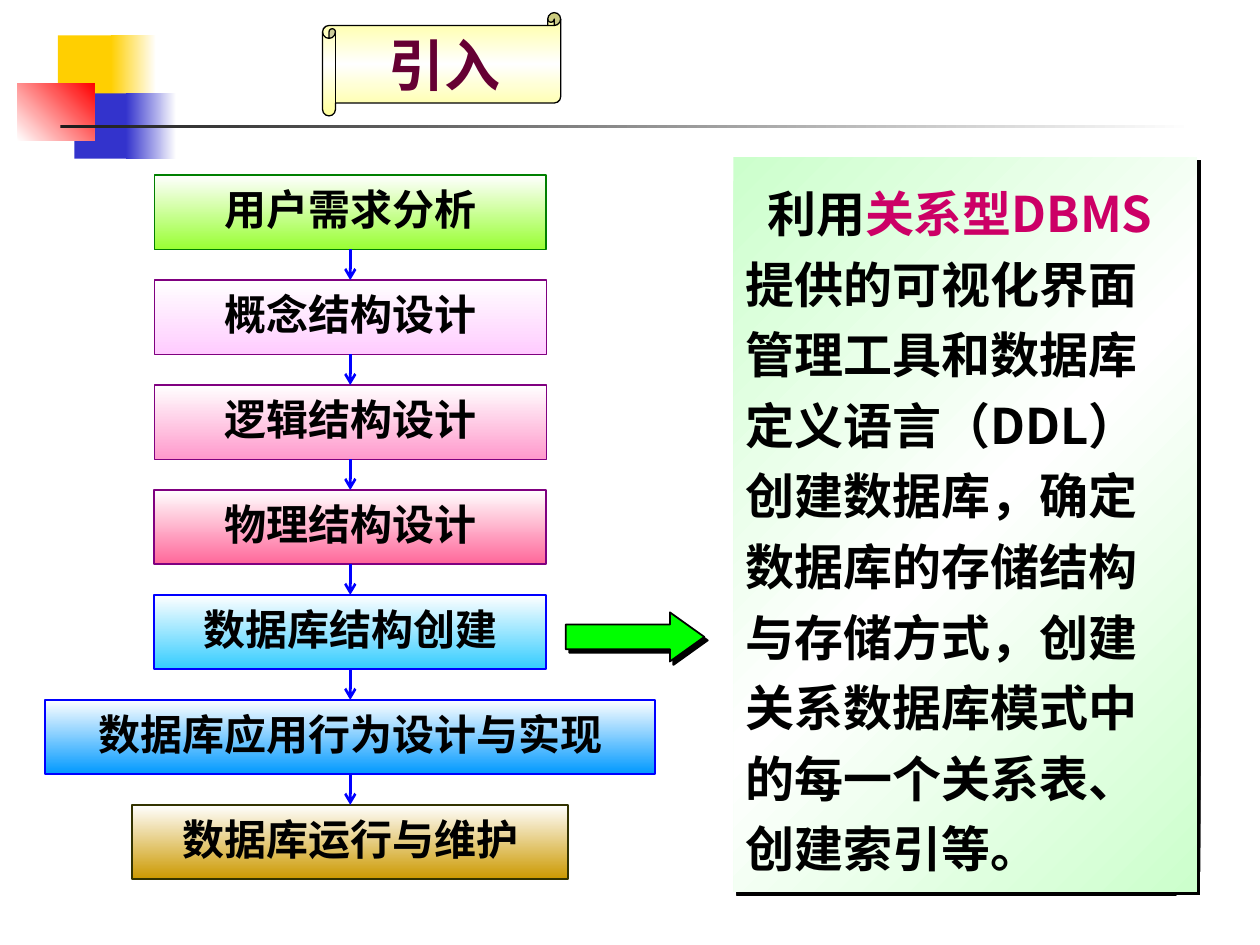
"""Build the slide showing the database design steps and the structure creation note."""
from dataclasses import dataclass
from typing import NamedTuple, Optional

from lxml import etree
from pptx import Presentation, util as u
from pptx.dml import color
from pptx.enum import shapes, text
from pptx.oxml import ns


@dataclass(frozen=True)
class Theme:
    latin: str = "Arial"
    body: str = "Noto Sans CJK SC"
    title_size: int = 32
    step_size: int = 24
    note_size: int = 28
    black: str = "000000"
    white: str = "FFFFFF"
    title: str = "660033"
    accent: str = "CC0066"
    arrow: str = "0000FF"
    pointer: str = "00FF00"
    yellow: str = "FFCF01"
    indigo: str = "3333CC"
    red: str = "FF0000"
    rule: str = "1C1C1C"
    scroll: str = "FFFF99"
    note: str = "CCFFCC"


class Area(NamedTuple):
    left: float
    top: float
    width: float
    height: float


class Fill(NamedTuple):
    colors: tuple
    angle: int = 0


class Line(NamedTuple):
    color: str
    width: float


class Piece(NamedTuple):
    words: str
    color: str


class Step(NamedTuple):
    label: str
    width: float
    color: str
    line: Line


THEME = Theme()
COLUMNS, ROWS = 100, 75
WIDTH, HEIGHT = u.Inches(10), u.Inches(7.5)
KIND = shapes.MSO_SHAPE
CENTER, FIRST_TOP, PITCH, STEP_HEIGHT = 27.8, 13.9, 8.33, 5.9

DECORATIONS = (
    (Area(4.6, 2.8, 4.8, 5.2), Fill((THEME.yellow,))),
    (Area(8.8, 2.8, 3.6, 5.2), Fill((THEME.yellow, THEME.white))),
    (Area(5.9, 7.4, 4.6, 5.2), Fill((THEME.indigo,))),
    (Area(10, 7.4, 4, 5.2), Fill((THEME.indigo, THEME.white))),
    (Area(1.4, 6.6, 6.1, 4.6), Fill((THEME.white, THEME.red), 315)),
    (Area(4.8, 9.9, 90, 0.3), Fill((THEME.rule, THEME.white))),
)

STEPS = (
    Step("用户需求分析", 31.1, "99FF33", Line("008000", 1)),
    Step("概念结构设计", 31.1, "FFCCFF", Line("800080", 0.75)),
    Step("逻辑结构设计", 31.1, "FF99CC", Line("800080", 0.75)),
    Step("物理结构设计", 31.1, "FF6699", Line("800080", 1.25)),
    Step("数据库结构创建", 31.1, "33CCFF", Line("0000FF", 1.25)),
    Step("数据库应用行为设计与实现", 48.4, "0099FF", Line("0000FF", 1.25)),
    Step("数据库运行与维护", 34.6, "CC9900", Line("333300", 1.25)),
)

NOTE = (
    Piece("利用", THEME.black),
    Piece("关系型DBMS", THEME.accent),
    Piece("提供的可视化界面管理工具和数据库定义语言（DDL）创建数据库，确定数据库的存储结构"
          "与存储方式，创建关系数据库模式中的每一个关系表、创建索引等。", THEME.black),
)


def across(columns: float) -> int:
    return round(WIDTH * columns / COLUMNS)


def down(rows: float) -> int:
    return round(HEIGHT * rows / ROWS)


def rgb(value: str) -> color.RGBColor:
    return color.RGBColor.from_string(value)


def child(parent, tag: str, **attributes):
    return etree.SubElement(parent, ns.qn(tag), attributes)


def apply_fill(shape, fill: Fill) -> None:
    if len(fill.colors) == 1:
        shape.fill.solid()
        shape.fill.fore_color.rgb = rgb(fill.colors[0])
        return
    shape.fill.gradient()
    shape.fill.gradient_angle = -fill.angle % 360
    stops = shape.element.spPr.find(ns.qn("a:gradFill")).find(ns.qn("a:gsLst"))
    for stop in list(stops):
        stops.remove(stop)
    for index, value in enumerate(fill.colors):
        position = 100000 * index // (len(fill.colors) - 1)
        child(child(stops, "a:gs", pos=str(position)), "a:srgbClr", val=value)


def add_shape(slide, kind, area: Area, fill: Fill, line: Optional[Line] = None,
              shadow: bool = False):
    shape = slide.shapes.add_shape(kind, across(area.left), down(area.top),
                                   across(area.width), down(area.height))
    apply_fill(shape, fill)
    if line:
        shape.line.color.rgb = rgb(line.color)
        shape.line.width = u.Pt(line.width)
    else:
        shape.line.fill.background()
    shape.shadow.inherit = False
    if shadow:
        effects = shape.element.spPr.find(ns.qn("a:effectLst"))
        outer = child(effects, "a:outerShdw", dist=str(u.Pt(2.8)), dir="2700000",
                      algn="ctr", rotWithShape="0")
        child(outer, "a:srgbClr", val=THEME.black)
    return shape


def write(shape, pieces: tuple, size: int, font: str, align, spacing: float = 1):
    frame = shape.text_frame
    frame.word_wrap = True
    frame.vertical_anchor = text.MSO_ANCHOR.MIDDLE
    paragraph = frame.paragraphs[0]
    paragraph.alignment = align
    paragraph.line_spacing = spacing
    for piece in pieces:
        run = paragraph.add_run()
        run.text = piece.words
        run.font.size = u.Pt(size)
        run.font.bold = True
        run.font.color.rgb = rgb(piece.color)
        run.font.name = font
        child(run.font._element, "a:ea", typeface=THEME.body)
    return paragraph


def add_title(slide) -> None:
    fill = Fill((THEME.scroll, THEME.white, THEME.scroll), 90)
    scroll = add_shape(slide, KIND.HORIZONTAL_SCROLL, Area(25.6, 1, 18.9, 8.2), fill,
                       Line(THEME.black, 0.75))
    write(scroll, (Piece("引入", THEME.title),), THEME.title_size, THEME.latin,
          text.PP_ALIGN.CENTER)
    frame = scroll.text_frame
    frame.word_wrap = False
    frame.margin_left = frame.margin_right = frame.margin_top = frame.margin_bottom = 0


def add_step(slide, index: int, step: Step):
    area = Area(CENTER - step.width / 2, FIRST_TOP + PITCH * index, step.width, STEP_HEIGHT)
    box = add_shape(slide, KIND.RECTANGLE, area, Fill((THEME.white, step.color), 90), step.line)
    write(box, (Piece(step.label, THEME.black),), THEME.step_size, THEME.body,
          text.PP_ALIGN.CENTER, 0.88)
    return box


def join(slide, upper, lower) -> None:
    connector = slide.shapes.add_connector(shapes.MSO_CONNECTOR.STRAIGHT, 0, 0, 0, 0)
    connector.begin_connect(upper, 2)
    connector.end_connect(lower, 0)
    connector.line.color.rgb = rgb(THEME.arrow)
    connector.line.width = u.Pt(1.5)
    properties = connector.element.spPr
    child(properties.find(ns.qn("a:ln")), "a:tailEnd", type="arrow")
    child(properties, "a:effectLst")


def add_note(slide) -> None:
    pointer = add_shape(slide, KIND.RIGHT_ARROW, Area(44.9, 48.6, 11, 3.9),
                        Fill((THEME.pointer,)), Line(THEME.black, 1), shadow=True)
    pointer.adjustments[1] = 0.7
    fill = Fill((THEME.note, THEME.white, THEME.note), 45)
    panel = add_shape(slide, KIND.RECTANGLE, Area(58.2, 12.5, 36.8, 58.3), fill, shadow=True)
    paragraph = write(panel, NOTE, THEME.note_size, THEME.body, text.PP_ALIGN.LEFT, 1.2)
    paragraph._p.get_or_add_pPr().set("indent", str(across(1.7)))


def main() -> None:
    presentation = Presentation()
    presentation.slide_width, presentation.slide_height = WIDTH, HEIGHT
    slide = presentation.slides.add_slide(presentation.slide_layouts[6])
    for area, fill in DECORATIONS:
        add_shape(slide, KIND.RECTANGLE, area, fill)
    add_title(slide)
    boxes = [add_step(slide, index, step) for index, step in enumerate(STEPS)]
    for upper, lower in zip(boxes, boxes[1:]):
        join(slide, upper, lower)
    add_note(slide)
    presentation.save("out.pptx")


if __name__ == "__main__":
    main()
